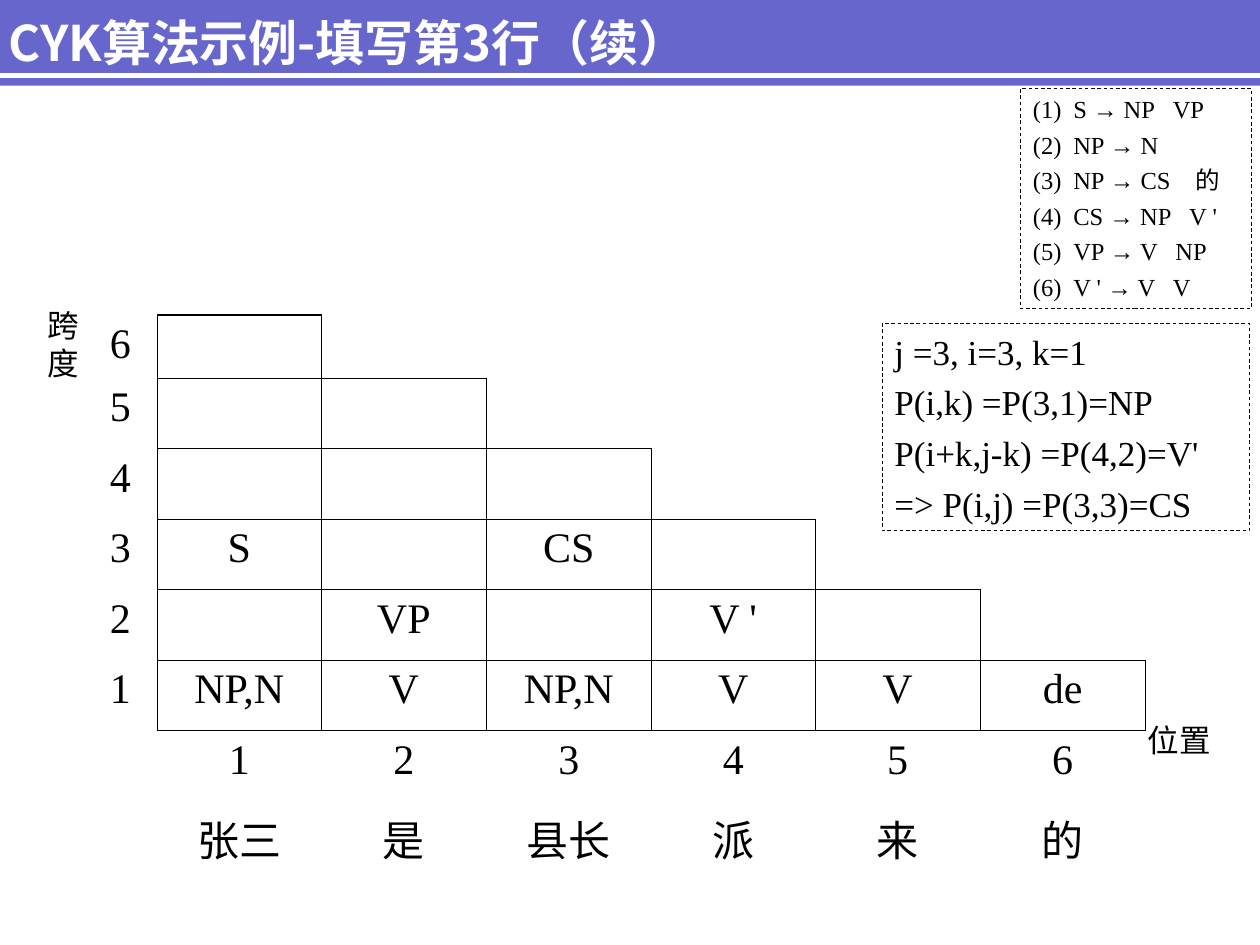
from lxml import etree
from pptx import Presentation
from pptx.dml.color import RGBColor
from pptx.enum.dml import MSO_LINE
from pptx.enum.shapes import MSO_CONNECTOR, MSO_SHAPE
from pptx.enum.text import MSO_ANCHOR, PP_ALIGN
from pptx.oxml.ns import qn
from pptx.util import Inches, Pt

LEFT, CENTER = PP_ALIGN.LEFT, PP_ALIGN.CENTER
TOP, MIDDLE = MSO_ANCHOR.TOP, MSO_ANCHOR.MIDDLE
DASH = MSO_LINE.DASH
RECTANGLE, STRAIGHT = MSO_SHAPE.RECTANGLE, MSO_CONNECTOR.STRAIGHT

VIOLET = RGBColor(0x66, 0x66, 0xCC)
WHITE = RGBColor(0xFF, 0xFF, 0xFF)
BLACK = RGBColor(0, 0, 0)
SERIF, SANS, ARROW_FONT = "Times New Roman", "Calibri", "Arial"
CJK = "Noto Sans CJK SC"
NO_STYLE = "{2D5ABB26-0587-4C30-8999-92F81FD0307C}"

TITLE = "CYK算法示例-填写第3行（续）"
WORDS = ["张三", "是", "县长", "派", "来", "的"]
SPANS = len(WORDS)
# (position, span): constituents found so far
CONSTITUENTS = {
    (1, 3): "S", (3, 3): "CS",
    (2, 2): "VP", (4, 2): "V '",
    (1, 1): "NP,N", (2, 1): "V", (3, 1): "NP,N",
    (4, 1): "V", (5, 1): "V", (6, 1): "de",
}
COLUMN_WIDTHS = [0.59, 1.3, 1.31, 1.31, 1.3, 1.31, 1.31]
ROW_HEIGHTS = [0.5] + [0.56] * 6 + [0.55]
AXIS_LABELS = [("跨度", 0.28, 2.38, 0.6, 0.7), ("位置", 9.01, 5.67, 0.98, 0.4)]
STEPS = [
    "j =3, i=3, k=1",
    "P(i,k) =P(3,1)=NP",
    "P(i+k,j-k) =P(4,2)=V'",
    "=> P(i,j) =P(3,3)=CS",
]
# left side, first and second part of the right side, tab stop of the second
RULES = [
    ("S", "NP", "VP", 1.11),
    ("NP", "N", None, None),
    ("NP", "CS", "的", 1.29),
    ("CS", "NP", "V '", 1.24),
    ("VP", "V", "NP", 1.13),
    ("V '", "V", "V", 1.11),
]
RULE_STOP = 0.32


def add_run(paragraph, text, size, font=SERIF, color=BLACK, bold=False):
    run = paragraph.add_run()
    run.text = text
    run.font.size, run.font.name, run.font.bold = Pt(size), font, bold
    run.font.color.rgb = color
    latin = run.font._element.find(qn("a:latin"))
    east_asian = etree.Element(qn("a:ea"), typeface=CJK)
    latin.addnext(east_asian)


def add_tab_stops(paragraph, stops):
    tabs = etree.SubElement(paragraph._p.get_or_add_pPr(), qn("a:tabLst"))
    for stop in stops:
        etree.SubElement(tabs, qn("a:tab"), pos=str(Inches(stop)), algn="l")


def no_shadow(connector):
    etree.SubElement(connector._element.spPr, qn("a:effectLst"))


def add_dashed_box(slide, left, top, width, height):
    box = slide.shapes.add_shape(
        RECTANGLE, Inches(left), Inches(top), Inches(width), Inches(height))
    box.shadow.inherit = False
    box.fill.background()
    box.line.color.rgb = BLACK
    box.line.width = Pt(0.5)
    box.line.dash_style = DASH
    frame = box.text_frame
    frame.word_wrap = True
    frame.vertical_anchor = TOP
    return frame


def add_lines(frame, count, space):
    """Yield the left-aligned paragraphs of a frame, spaced apart."""
    for index in range(count):
        paragraph = frame.add_paragraph() if index else frame.paragraphs[0]
        paragraph.alignment = LEFT
        if index:
            paragraph.space_before = Pt(space)
        yield paragraph


def in_chart(row, column):
    return 0 <= row < SPANS and 1 <= column <= row + 1


def set_borders(cell, row, column):
    """Rule each side that touches a cell of the staircase."""
    neighbours = {"lnL": (row, column - 1), "lnR": (row, column + 1),
                  "lnT": (row - 1, column), "lnB": (row + 1, column)}
    properties = cell._tc.get_or_add_tcPr()
    for index, (side, neighbour) in enumerate(neighbours.items()):
        width = Pt(1.08) if side == "lnT" and row == 0 else Pt(0.45)
        border = etree.Element(qn("a:" + side), w=str(width))
        if in_chart(row, column) or in_chart(*neighbour):
            fill = etree.SubElement(border, qn("a:solidFill"))
            etree.SubElement(fill, qn("a:srgbClr"), val=str(BLACK))
        else:
            etree.SubElement(border, qn("a:noFill"))
        properties.insert(index, border)


def cell_text(row, column):
    span = SPANS - row
    if column == 0:
        return str(span) if span > 0 else ""
    if span == 0:
        return str(column)
    if span < 0:
        return WORDS[column - 1]
    return CONSTITUENTS.get((column, span), "")


def add_header(slide):
    band = slide.shapes.add_shape(RECTANGLE, 0, 0, Inches(10), Inches(0.68))
    band.shadow.inherit = False
    band.fill.solid()
    band.fill.fore_color.rgb = VIOLET
    band.line.fill.background()
    stripe = slide.shapes.add_connector(
        STRAIGHT, 0, Inches(0.6), Inches(10), Inches(0.6))
    stripe.line.color.rgb = WHITE
    stripe.line.width = Pt(3)
    no_shadow(stripe)

    title = slide.shapes.title
    title.left, title.top = Inches(-0.03), Inches(-0.18)
    title.width, title.height = Inches(9.5), Inches(1.03)
    title.text_frame.vertical_anchor = MIDDLE
    heading = title.text_frame.paragraphs[0]
    heading.alignment = LEFT
    add_run(heading, TITLE, 28, CJK, WHITE, bold=True)
    stripe._element.addnext(title._element)


def add_chart_table(slide):
    table = slide.shapes.add_table(
        len(ROW_HEIGHTS), len(COLUMN_WIDTHS), Inches(0.66), Inches(2.5),
        Inches(sum(COLUMN_WIDTHS)), Inches(sum(ROW_HEIGHTS))).table
    table.first_row = table.horz_banding = False
    table._tbl.tblPr.find(qn("a:tableStyleId")).text = NO_STYLE
    for column, width in zip(table.columns, COLUMN_WIDTHS):
        column.width = Inches(width)
    for row, height in zip(table.rows, ROW_HEIGHTS):
        row.height = Inches(height)
    for row in range(len(ROW_HEIGHTS)):
        for column in range(len(COLUMN_WIDTHS)):
            cell = table.cell(row, column)
            cell.fill.background()
            set_borders(cell, row, column)
            text = cell_text(row, column)
            if text:
                entry = cell.text_frame.paragraphs[0]
                entry.alignment = CENTER
                add_run(entry, text, 24)
    for row in (0, 1):
        table.cell(row, 4).merge(table.cell(row, 6))


def main():
    deck = Presentation()
    deck.slide_width, deck.slide_height = Inches(10), Inches(7.5)
    slide = deck.slides.add_slide(deck.slide_layouts[5])
    add_header(slide)
    add_chart_table(slide)

    for label, *place in AXIS_LABELS:
        frame = slide.shapes.add_textbox(*map(Inches, place)).text_frame
        frame.word_wrap = True
        add_run(frame.paragraphs[0], label, 18, SANS)

    steps = add_dashed_box(slide, 7, 2.57, 2.92, 1.64)
    for paragraph, step in zip(add_lines(steps, len(STEPS), 5), STEPS):
        add_run(paragraph, step, 20)

    grammar = add_dashed_box(slide, 8.1, 0.7, 1.83, 1.75)
    lines = add_lines(grammar, len(RULES), 3.5)
    for number, (paragraph, rule) in enumerate(zip(lines, RULES), 1):
        left, first, second, stop = rule
        add_tab_stops(paragraph, [RULE_STOP, stop] if second else [RULE_STOP])
        add_run(paragraph, f"({number})\t{left} ", 14)
        add_run(paragraph, "→", 14, ARROW_FONT)
        add_run(paragraph, f" {first}\t{second}" if second else f" {first}", 14)

    deck.save("out.pptx")


if __name__ == "__main__":
    main()
